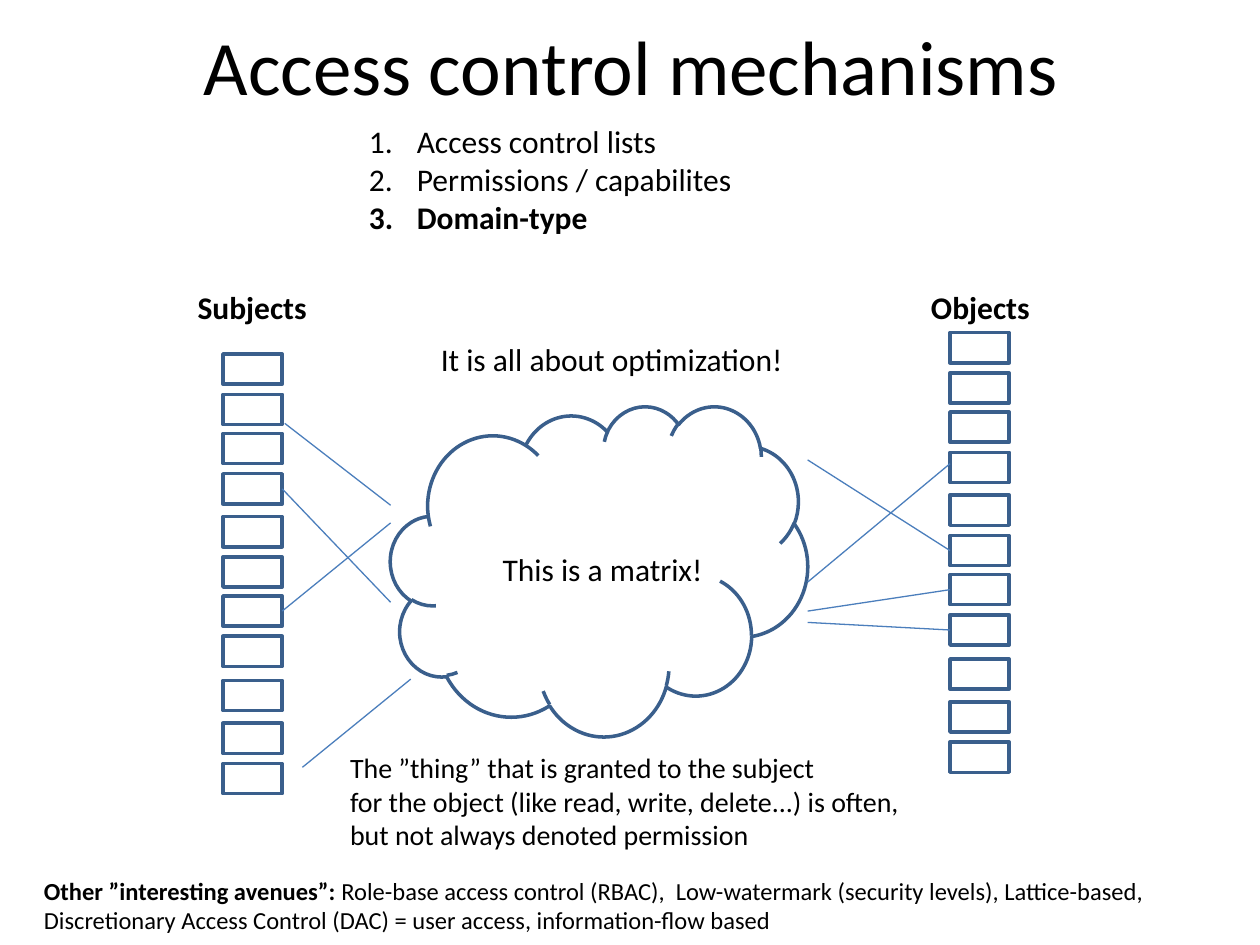
from dataclasses import dataclass
from typing import Optional

from lxml import etree
from pptx import Presentation
from pptx.dml.color import RGBColor
from pptx.enum import shapes, text
from pptx.oxml.ns import qn
from pptx.util import Inches, Pt

BLACK = RGBColor(0x00, 0x00, 0x00)
WHITE = RGBColor(0xFF, 0xFF, 0xFF)
OUTLINE = RGBColor(0x3A, 0x5F, 0x8C)
LINK = RGBColor(0x4B, 0x7E, 0xBC)

BOX_W, BOX_H = 0.47, 0.24
BOX_OFFSETS = (0, 0.32, 0.63, 0.95, 1.29, 1.61, 1.92, 2.24, 2.59, 2.93, 3.25)
LEFT_SIDE, RIGHT_SIDE = 1, 3


@dataclass
class Run:
    words: str
    bold: bool = False


@dataclass
class Label:
    left: float
    top: float
    width: float
    height: float
    size: int
    paragraphs: list[list[Run]]
    wrap: bool = False
    numbered: bool = False
    centred: bool = False


@dataclass
class Link:
    """A line from the cloud to a column; box is the index of the box it joins."""
    cloud_end: tuple[float, float]
    box_end: tuple[float, float]
    box: Optional[int] = None


LABELS_BEHIND = [
    Label(0.51, -0.11, 9, 1.25, 44, [[Run("Access control mechanisms")]],
          wrap=True, centred=True),
    Label(1.47, 2.24, 1.07, 0.4, 18, [[Run("Subjects", True)]]),
    Label(7.29, 2.24, 0.99, 0.4, 18, [[Run("Objects", True)]]),
    Label(0.25, 6.9, 9.53, 0.57, 14, [[
        Run("Other ”interesting avenues”: ", True),
        Run("Role-base access control (RBAC),  Low-watermark (security levels), "
            "Lattice-based, Discretionary Access Control (DAC) = user access, "
            "information-flow based")]], wrap=True),
]
LABELS_IN_FRONT = [
    Label(3.4, 2.65, 2.95, 0.4, 18, [[Run("It is all about optimization!")]]),
    Label(2.83, 0.92, 3.1, 1.01, 18, [
        [Run("Access control lists")],
        [Run("Permissions / capabilites")],
        [Run("Domain-type", True)]], numbered=True),
    Label(3.89, 4.32, 1.81, 0.4, 18, [[Run("This is a matrix!")]]),
    Label(2.68, 5.91, 4.68, 0.94, 16, [
        [Run("The ”thing” that is granted to the subject\n"
             "for the object (like read, write, delete...) is often,")],
        [Run("but not always denoted permission")]]),
]
SUBJECT_LINKS = [
    Link((3.1, 4.78), (2.24, 3.87), 3),
    Link((3.1, 4.15), (2.24, 4.85), 6),
    Link((3.26, 5.39), (2.4, 6.09)),
    Link((3.1, 4.01), (2.26, 3.36)),
]
OBJECT_LINKS = [
    Link((6.41, 4.62), (7.54, 3.68)),
    Link((6.41, 3.65), (7.54, 4.36), 5),
    Link((6.41, 4.94), (7.54, 4.99), 7),
    Link((6.41, 4.85), (7.54, 4.68), 6),
]


def add_outlined(s, kind, left: float, top: float, width: float, height: float):
    sp = s.shapes.add_shape(kind, Inches(left), Inches(top), Inches(width), Inches(height))
    sp.shadow.inherit = False
    sp.fill.solid()
    sp.fill.fore_color.rgb = WHITE
    sp.line.color.rgb = OUTLINE
    sp.line.width = Pt(2)
    return sp


def add_column(s, left: float, top: float) -> list:
    return [add_outlined(s, shapes.MSO_SHAPE.RECTANGLE, left, top + dy, BOX_W, BOX_H)
            for dy in BOX_OFFSETS]


def add_link(s, link: Link, boxes: list, side: int) -> None:
    points = [Inches(v) for v in link.cloud_end + link.box_end]
    line = s.shapes.add_connector(shapes.MSO_CONNECTOR.STRAIGHT, *points)
    if link.box is not None:
        line.end_connect(boxes[link.box], side)
    line.line.color.rgb = LINK
    line.line.width = Pt(0.75)
    etree.SubElement(line._element.spPr, qn("a:effectLst"))


def number_paragraph(p) -> None:
    pPr = p._p.get_or_add_pPr()
    pPr.set("marL", str(Inches(0.38)))
    pPr.set("indent", str(-Inches(0.38)))
    etree.SubElement(pPr, qn("a:buFont"), typeface="+mj-lt")
    etree.SubElement(pPr, qn("a:buAutoNum"), type="arabicPeriod")


def add_run(p, run: Run, size: int) -> None:
    """Add the run's words, with a line break at each newline."""
    for i, line in enumerate(run.words.split("\n")):
        if i:
            p.add_line_break()
        r = p.add_run()
        r.text = line
        for name, value in {"name": "Calibri", "size": Pt(size), "bold": run.bold}.items():
            setattr(r.font, name, value)
        r.font.color.rgb = BLACK


def add_label(s, label: Label) -> None:
    sp = s.shapes.add_textbox(Inches(label.left), Inches(label.top),
                              Inches(label.width), Inches(label.height))
    tf = sp.text_frame
    tf.word_wrap = label.wrap
    if label.centred:
        tf.vertical_anchor = text.MSO_ANCHOR.MIDDLE
    else:
        tf.auto_size = text.MSO_AUTO_SIZE.SHAPE_TO_FIT_TEXT
    for i, runs in enumerate(label.paragraphs):
        p = tf.add_paragraph() if i else tf.paragraphs[0]
        if label.numbered:
            number_paragraph(p)
        p.alignment = text.PP_ALIGN.CENTER if label.centred else text.PP_ALIGN.LEFT
        for run in runs:
            add_run(p, run, label.size)


def main() -> None:
    prs = Presentation()
    prs.slide_width, prs.slide_height = Inches(10), Inches(7.5)
    s = prs.slides.add_slide(prs.slide_layouts[6])

    for label in LABELS_BEHIND:
        add_label(s, label)
    objects = add_column(s, 7.54, 2.64)
    subjects = add_column(s, 1.77, 2.81)
    add_outlined(s, shapes.MSO_SHAPE.CLOUD, 3.1, 3.22, 3.31, 2.62)
    for link in OBJECT_LINKS:
        add_link(s, link, objects, LEFT_SIDE)
    for link in SUBJECT_LINKS:
        add_link(s, link, subjects, RIGHT_SIDE)
    for label in LABELS_IN_FRONT:
        add_label(s, label)

    prs.save("out.pptx")


if __name__ == "__main__":
    main()
